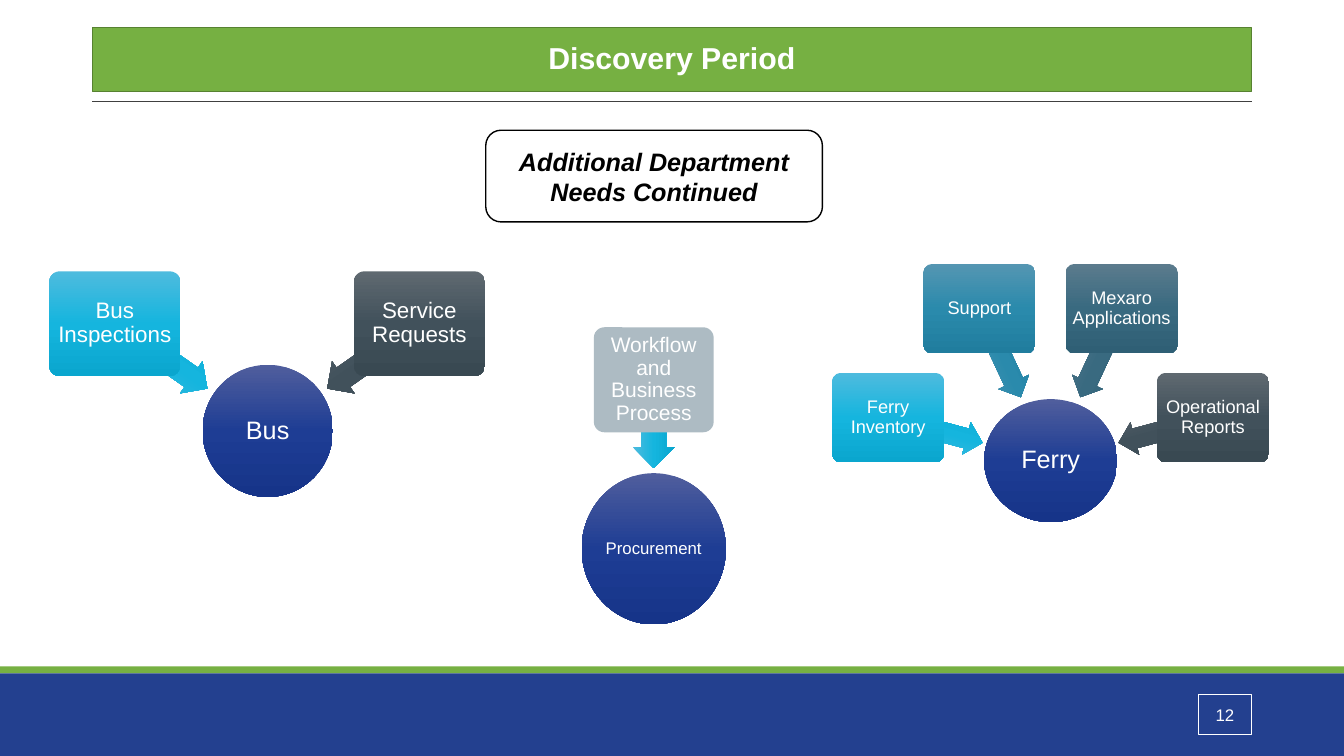
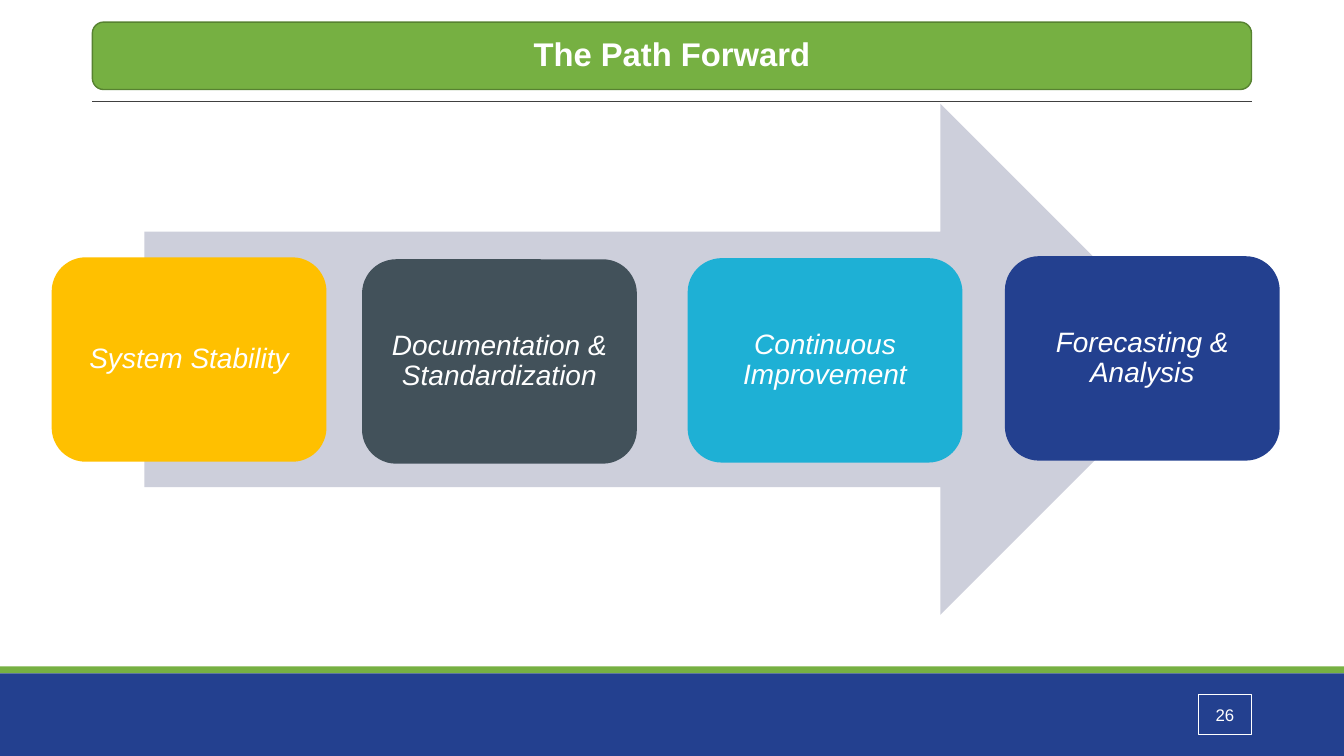
from copy import deepcopy
from dataclasses import dataclass
from math import atan2, degrees

from lxml import etree
from pptx import Presentation
from pptx.dml.color import RGBColor
from pptx.enum.shapes import MSO_CONNECTOR, MSO_SHAPE
from pptx.enum.text import MSO_ANCHOR, PP_ALIGN
from pptx.oxml.ns import qn
from pptx.util import Pt

RECTANGLE = MSO_SHAPE.RECTANGLE
ROUNDED = MSO_SHAPE.ROUNDED_RECTANGLE
OVAL = MSO_SHAPE.OVAL
LEFT_ARROW = MSO_SHAPE.LEFT_ARROW
RIGHT_ARROW = MSO_SHAPE.RIGHT_ARROW
STRAIGHT = MSO_CONNECTOR.STRAIGHT
MIDDLE = MSO_ANCHOR.MIDDLE
CENTER = PP_ALIGN.CENTER


@dataclass(frozen=True)
class Theme:
    font: str = "Arial"
    white: str = "FFFFFF"
    black: str = "000000"
    green: str = "76B042"
    dark_green: str = "578231"
    blue: str = "23408F"
    rule: str = "404040"
    amber: str = "FFC000"
    slate: str = "42515A"
    cyan: str = "1EB0D5"
    pale_arrow: str = "CDCFDB"
    gray: str = "ADBBC3"
    hub: tuple = ("505E9D", "1E3D94", "163489")
    cyan_shade: tuple = ("4EBBDE", "15B5DE", "0AA6CE")
    teal_shade: tuple = ("5596B2", "2A8AAC", "207D9E")
    steel_shade: tuple = ("5B7B8D", "396A80", "2F5F75")
    slate_shade: tuple = ("5F6970", "41515B", "394952")
    page_size: float = 12
    callout_size: float = 18
    step_size: float = 20


THEME = Theme()
SLIDE_WIDTH, SLIDE_HEIGHT = 960, 540
LEFT_EDGE, RIGHT_EDGE = 66, 894


@dataclass(frozen=True)
class Need:
    text: str
    center: tuple
    arrow_fill: tuple
    fill: object = None


@dataclass(frozen=True)
class Cluster:
    text: str
    center: tuple
    hub_size: tuple
    hub_text_size: float
    box_size: tuple
    box_text_size: float
    arrow_size: tuple
    arrow_offset: float
    needs: tuple


CLUSTERS = (
    Cluster("Bus", (191.2, 307.8), (93, 94.4), 18, (93.6, 74.8), 16, (81.4, 28), 0.3, (
        Need("Bus Inspections", (82, 231.2), THEME.cyan_shade),
        Need("Service Requests", (299.6, 231.2), THEME.slate_shade),
    )),
    Cluster("Ferry", (750.5, 329), (95, 87.8), 18, (80, 64), 13, (70, 24), 0.29, (
        Need("Ferry Inventory", (634.4, 298.3), THEME.cyan_shade),
        Need("Support", (699.6, 220.5), THEME.teal_shade),
        Need("Mexaro Applications", (801.2, 220.5), THEME.steel_shade),
        Need("Operational Reports", (866.4, 298.3), THEME.slate_shade),
    )),
    Cluster("Procurement", (467, 392), (103, 108), 12, (85.6, 75), 15, (63.4, 30), 0.26, (
        Need("Workflow and Business Process", (467, 271.3), THEME.cyan_shade, THEME.gray),
    )),
)

STEPS = (
    ("System Stability", THEME.amber, 36.9, 183.8),
    ("Documentation & Standardization", THEME.slate, 258.6, 185.2),
    ("Continuous Improvement", THEME.cyan, 491.2, 184.4),
    ("Forecasting & Analysis", THEME.blue, 717.8, 183),
)


def rgb(color):
    return RGBColor.from_string(color)


def apply_fill(shape, fill):
    if fill is None:
        shape.fill.background()
    elif isinstance(fill, str):
        shape.fill.solid()
        shape.fill.fore_color.rgb = rgb(fill)
    else:
        shape.fill.gradient()
        shape.fill.gradient_angle = 270
        stop_list = shape._element.spPr.find(".//" + qn("a:gsLst"))
        stop_list.append(deepcopy(stop_list[0]))
        for index, (stop, color) in enumerate(zip(shape.fill.gradient_stops, fill)):
            stop.position = index / 2
            stop.color.rgb = rgb(color)


def add_panel(slide, kind, left, top, width, height, fill=None, line=None, line_width=1):
    shape = slide.shapes.add_shape(kind, Pt(left), Pt(top), Pt(width), Pt(height))
    shape.shadow.inherit = False
    apply_fill(shape, fill)
    if line is None:
        shape.line.fill.background()
    else:
        shape.line.color.rgb = rgb(line)
        shape.line.width = Pt(line_width)
    return shape


def add_centered(slide, kind, center, size, fill):
    (x, y), (width, height) = center, size
    return add_panel(slide, kind, x - width / 2, y - height / 2, width, height, fill)


def write(shape, text, size, color=THEME.white, bold=False, italic=False, spacing=0.9, inset=4):
    frame = shape.text_frame
    frame.word_wrap = True
    frame.vertical_anchor = MIDDLE
    frame.margin_left = frame.margin_right = Pt(inset)
    frame.margin_top = frame.margin_bottom = Pt(inset)
    paragraph = frame.paragraphs[0]
    paragraph.text = text
    paragraph.alignment = CENTER
    paragraph.line_spacing = spacing
    font = paragraph.font
    font.name = THEME.font
    font.size = Pt(size)
    font.color.rgb = rgb(color)
    font.bold = bold
    font.italic = italic


def add_rule(slide, y):
    rule = slide.shapes.add_connector(STRAIGHT, Pt(LEFT_EDGE), Pt(y), Pt(RIGHT_EDGE), Pt(y))
    rule.line.color.rgb = rgb(THEME.rule)
    rule.line.width = Pt(0.5)
    etree.SubElement(rule._element.spPr, qn("a:effectLst"))


def add_base_slide(presentation, title, page, title_kind, title_top, title_height, title_size):
    slide = presentation.slides.add_slide(presentation.slide_layouts[6])
    add_panel(slide, RECTANGLE, 0, 476, SLIDE_WIDTH, 5, THEME.green)
    add_panel(slide, RECTANGLE, 0, 481, SLIDE_WIDTH, SLIDE_HEIGHT - 481, THEME.blue)
    add_rule(slide, 72.5)
    banner = add_panel(slide, title_kind, LEFT_EDGE, title_top, RIGHT_EDGE - LEFT_EDGE,
                       title_height, THEME.green, THEME.dark_green)
    write(banner, title, title_size, bold=True)
    page_box = add_panel(slide, RECTANGLE, RIGHT_EDGE - 38, 496, 38, 29,
                         line=THEME.white, line_width=0.75)
    write(page_box, page, THEME.page_size, spacing=1)
    return slide


def add_need(slide, cluster, need):
    x, y = need.center
    across, down = cluster.center[0] - x, cluster.center[1] - y
    arrow_center = (x + across * cluster.arrow_offset, y + down * cluster.arrow_offset)
    arrow = add_centered(slide, LEFT_ARROW, arrow_center, cluster.arrow_size, need.arrow_fill)
    arrow.adjustments[0] = 0.6
    arrow.adjustments[1] = 0.5
    arrow.rotation = round(degrees(atan2(down, across)) + 180)
    box = add_centered(slide, ROUNDED, need.center, cluster.box_size,
                       need.fill or need.arrow_fill)
    box.adjustments[0] = 0.1
    write(box, need.text, cluster.box_text_size, inset=2)


def add_cluster(slide, cluster):
    hub = add_centered(slide, OVAL, cluster.center, cluster.hub_size, THEME.hub)
    write(hub, cluster.text, cluster.hub_text_size, inset=0.5)
    for need in cluster.needs:
        add_need(slide, cluster, need)


def add_discovery_slide(presentation):
    slide = add_base_slide(presentation, "Discovery Period", "12", RECTANGLE, 19.5, 46, 21.6)
    for cluster in CLUSTERS:
        add_cluster(slide, cluster)
    callout = add_panel(slide, ROUNDED, 347, 93, 240.5, 65.5, THEME.white, THEME.black)
    write(callout, "Additional Department Needs Continued", THEME.callout_size,
          THEME.black, bold=True, italic=True, spacing=1)


def add_path_slide(presentation):
    slide = add_base_slide(presentation, "The Path Forward", "26", ROUNDED, 15.8, 48.2, 23.4)
    add_panel(slide, RIGHT_ARROW, 103.2, 74.2, 751, 365, THEME.pale_arrow)
    for text, fill, left, top in STEPS:
        step = add_panel(slide, ROUNDED, left, top, 196.3, 146, fill)
        write(step, text, THEME.step_size, italic=True, inset=6)


def main():
    presentation = Presentation()
    presentation.slide_width = Pt(SLIDE_WIDTH)
    presentation.slide_height = Pt(SLIDE_HEIGHT)
    add_discovery_slide(presentation)
    add_path_slide(presentation)
    presentation.save("out.pptx")


if __name__ == "__main__":
    main()
